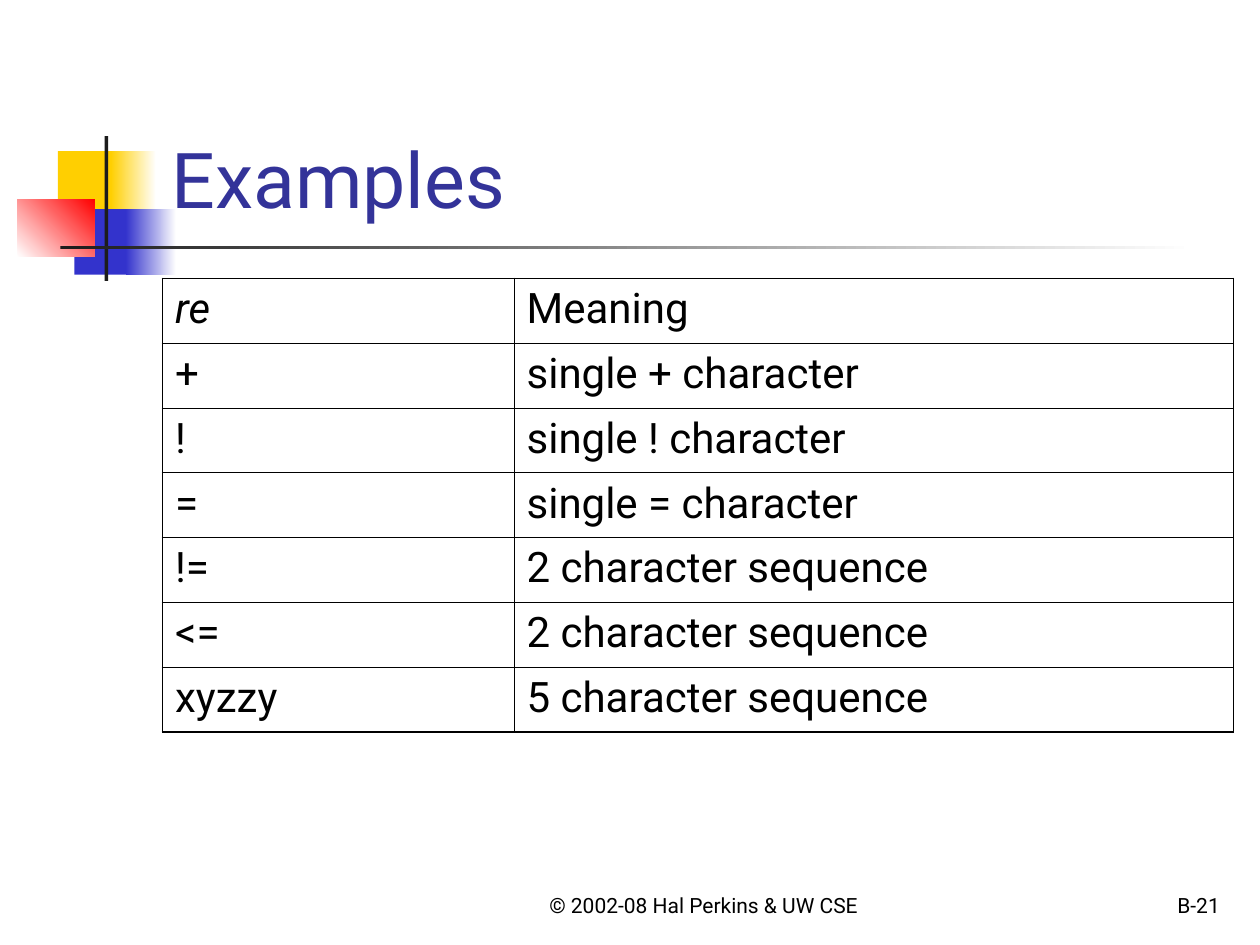
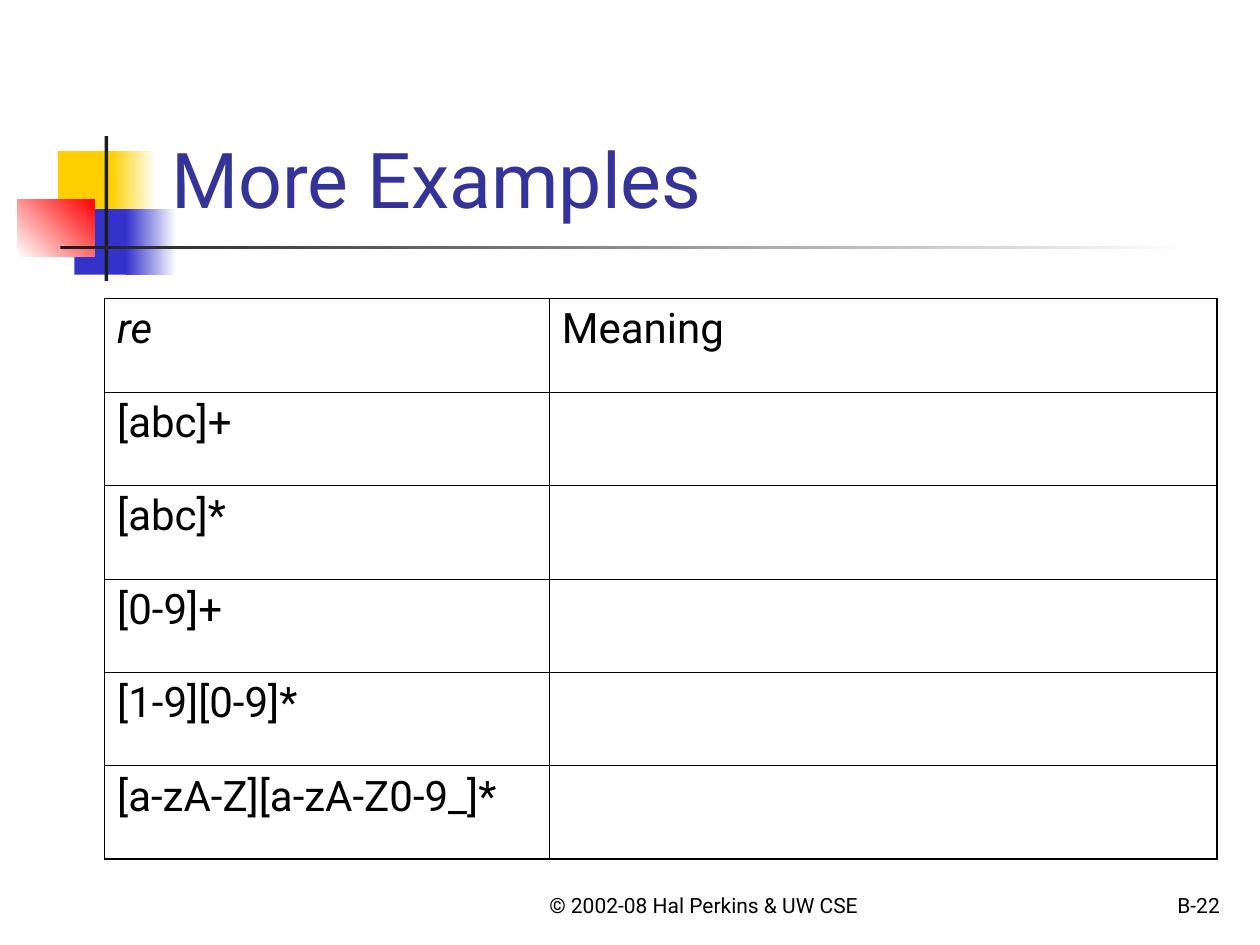
import lxml.etree
import pptx
import pptx.dml.color
import pptx.enum.shapes
import pptx.enum.text
import pptx.oxml.ns
import pptx.util

Inches = pptx.util.Inches
Pt = pptx.util.Pt
qn = pptx.oxml.ns.qn
ALIGN = pptx.enum.text.PP_ALIGN
BOTTOM = pptx.enum.text.MSO_ANCHOR.BOTTOM

COLORS = {
    "yellow": "FFCF01",
    "blue": "3333CC",
    "red": "FF0000",
    "dark": "1C1C1C",
    "white": "FFFFFF",
    "title": "333399",
    "text": "000000",
}
FONT = "Roboto"
OUTER_LINE, INNER_LINE = 1.08, 0.45

EMBLEM = [
    ((0.46, 1.2, 0.48, 0.52), ["yellow"], 0),
    ((0.88, 1.2, 0.36, 0.52), ["yellow", "white"], 0),
    ((0.59, 1.66, 0.46, 0.52), ["blue"], 0),
    ((1, 1.66, 0.4, 0.52), ["blue", "white"], 0),
    ((0.14, 1.58, 0.61, 0.46), ["white", "red"], 45),
    ((0.83, 1.08, 0.03, 1.15), ["dark"], 0),
    ((0.48, 1.95, 9, 0.03), ["dark", "white"], 0),
]

LESSONS = [
    {
        "title": "Examples",
        "page": "B-21",
        "place": (1.29, 2.21, 8.5, 3.6),
        "columns": (2.79, 5.71),
        "rows": [
            ("re", "Meaning"),
            ("+", "single + character"),
            ("!", "single ! character"),
            ("=", "single = character"),
            ("!=", "2 character sequence"),
            ("<=", "2 character sequence"),
            ("xyzzy", "5 character sequence"),
        ],
    },
    {
        "title": "More Examples",
        "page": "B-22",
        "place": (0.83, 2.37, 8.83, 4.45),
        "columns": (3.53, 5.3),
        "rows": [
            ("re", "Meaning"),
            ("[abc]+", ""),
            ("[abc]*", ""),
            ("[0-9]+", ""),
            ("[1-9][0-9]*", ""),
            ("[a-zA-Z][a-zA-Z0-9_]*", ""),
        ],
    },
]


def write(frame, text, size, color="text", align=ALIGN.LEFT, italic=False):
    frame.word_wrap = True
    paragraph = frame.paragraphs[0]
    paragraph.text = text
    paragraph.alignment = align
    style = {"name": FONT, "size": Pt(size), "italic": italic, "bold": False}
    for key, value in style.items():
        setattr(paragraph.font, key, value)
    paragraph.font.color.rgb = pptx.dml.color.RGBColor.from_string(COLORS[color])


def draw_borders(cell, widths):
    properties = cell._tc.get_or_add_tcPr()
    for position, (side, width) in enumerate(widths.items()):
        line = lxml.etree.Element(qn(f"a:ln{side}"), w=str(Pt(width)))
        fill = lxml.etree.SubElement(line, qn("a:solidFill"))
        lxml.etree.SubElement(fill, qn("a:srgbClr"), val=COLORS["text"])
        properties.insert(position, line)


deck = pptx.Presentation()
deck.slide_width = Inches(10)
deck.slide_height = Inches(7.5)

for lesson in LESSONS:
    slide = deck.slides.add_slide(deck.slide_layouts[5])

    for place, tones, angle in EMBLEM:
        block = slide.shapes.add_shape(
            pptx.enum.shapes.MSO_SHAPE.RECTANGLE, *map(Inches, place)
        )
        block.shadow.inherit = False
        block.line.fill.background()
        if len(tones) == 1:
            block.fill.solid()
            targets = [block.fill.fore_color]
        else:
            block.fill.gradient()
            block.fill.gradient_angle = angle
            targets = [stop.color for stop in block.fill.gradient_stops]
        for target, tone in zip(targets, tones):
            target.rgb = pptx.dml.color.RGBColor.from_string(COLORS[tone])

    for place, text, align in [
        ((4, 6.83, 3.17, 0.5), "© 2002-08 Hal Perkins & UW CSE", ALIGN.CENTER),
        ((7.7, 6.83, 2.08, 0.5), lesson["page"], ALIGN.RIGHT),
    ]:
        footer = slide.shapes.add_textbox(*map(Inches, place)).text_frame
        footer.vertical_anchor = BOTTOM
        write(footer, text, 12, align=align)

    title = slide.shapes.title
    title.element.getparent().append(title.element)
    for key, value in zip(("left", "top", "width", "height"), (1.26, 0.23, 8.52, 1.6)):
        setattr(title, key, Inches(value))
    title.text_frame.vertical_anchor = BOTTOM
    title.text_frame.auto_size = pptx.enum.text.MSO_AUTO_SIZE.NONE
    write(title.text_frame, lesson["title"], 44, "title")

    rows, columns = lesson["rows"], lesson["columns"]
    meanings = slide.shapes.add_table(
        len(rows), len(columns), *map(Inches, lesson["place"])
    ).table
    meanings.first_row = False
    meanings.horz_banding = False
    for column, width in zip(meanings.columns, columns):
        column.width = Inches(width)
    for row in meanings.rows:
        row.height = Inches(lesson["place"][3] / len(rows))

    for r, entries in enumerate(rows):
        for c, entry in enumerate(entries):
            cell = meanings.cell(r, c)
            cell.fill.background()
            write(cell.text_frame, entry, 24, italic=r == c == 0)
            edges = {
                "L": c == 0,
                "R": c == len(columns) - 1,
                "T": r == 0,
                "B": r == len(rows) - 1,
            }
            draw_borders(
                cell,
                {side: OUTER_LINE if outer else INNER_LINE for side, outer in edges.items()},
            )

deck.save("out.pptx")
